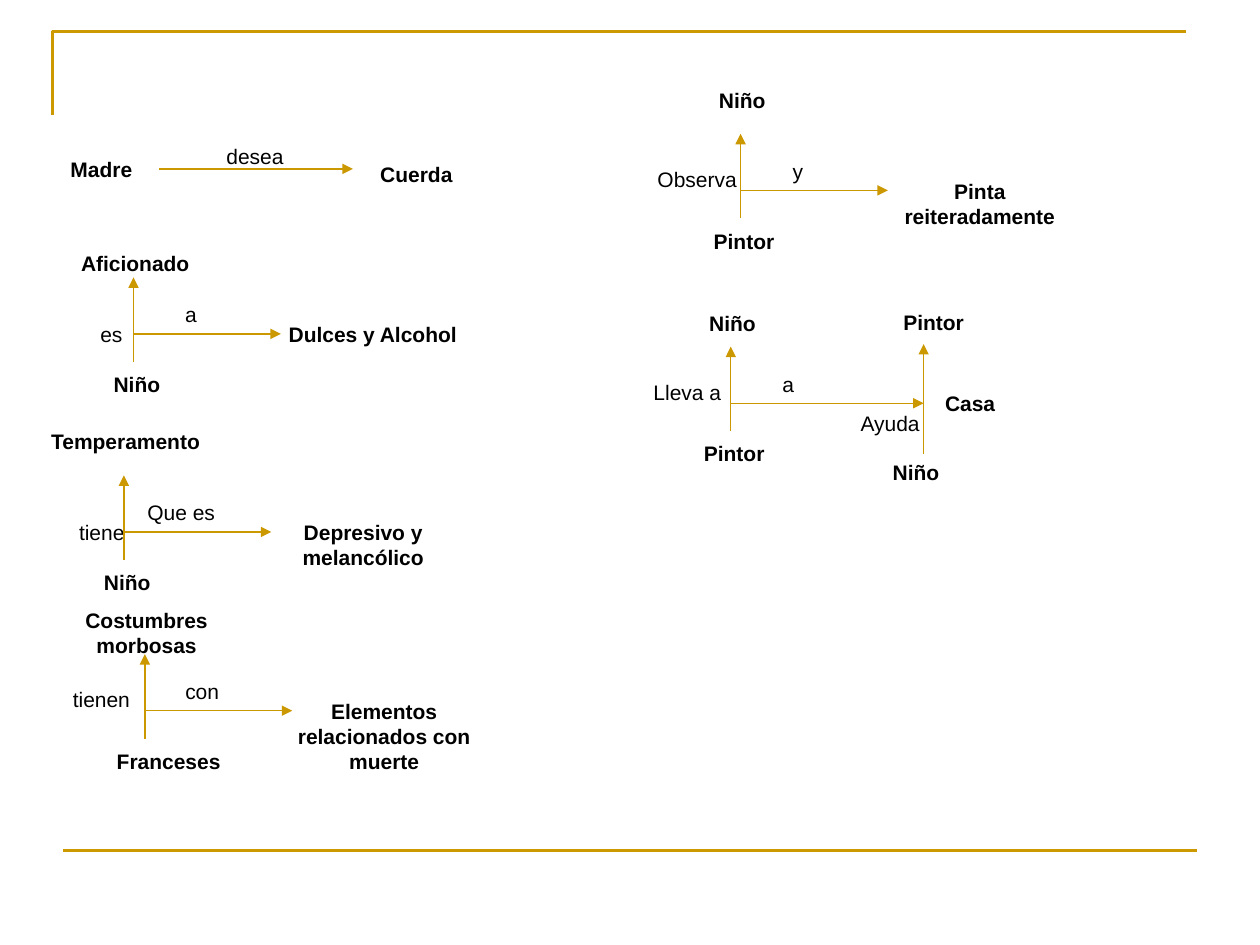
from lxml import etree
from pptx import Presentation
from pptx import util as u
from pptx.dml.color import RGBColor
from pptx.enum import shapes, text
from pptx.oxml.ns import qn

GOLD, AMBER, BLACK = "CC9900", "CC9800", "000000"


def tint(code):
    return RGBColor.from_string(code)


class Sketch:
    font, size, thin, thick = "Arial", 12, 0.75, 1.5

    def __init__(self, slide):
        self.slide = slide

    def label(self, left, top, width, words, bold=True):
        lines = words.split("\n")
        box = self.slide.shapes.add_textbox(
            u.Pt(left), u.Pt(top), u.Pt(width), u.Pt(7.2 + 14.4 * len(lines)))
        frame = box.text_frame
        frame.word_wrap = True
        frame.auto_size = text.MSO_AUTO_SIZE.SHAPE_TO_FIT_TEXT
        for i, line in enumerate(lines):
            para = frame.add_paragraph() if i else frame.paragraphs[0]
            para.alignment = text.PP_ALIGN.CENTER
            run = para.add_run()
            run.text = line
            run.font.name = self.font
            run.font.size = u.Pt(self.size)
            run.font.bold = bold
            run.font.color.rgb = tint(BLACK)
        return box

    def line(self, x1, y1, x2, y2, color, width):
        rule = self.slide.shapes.add_connector(
            shapes.MSO_CONNECTOR.STRAIGHT, u.Pt(x1), u.Pt(y1), u.Pt(x2), u.Pt(y2))
        rule.line.color.rgb = tint(color)
        rule.line.width = u.Pt(width)
        etree.SubElement(rule._element.spPr, qn("a:effectLst"))
        return rule

    def arrow(self, x1, y1, x2, y2):
        rule = self.line(x1, y1, x2, y2, AMBER, self.thin)
        etree.SubElement(rule.line._get_or_add_ln(), qn("a:tailEnd"), type="triangle")
        return rule

    def corner(self, points):
        (x, y), *rest = [(u.Pt(a), u.Pt(b)) for a, b in points]
        pen = self.slide.shapes.build_freeform(x, y, scale=1.0)
        pen.add_line_segments(rest, close=False)
        shape = pen.convert_to_shape()
        shape.shadow.inherit = False
        shape.fill.background()
        shape.line.color.rgb = tint(GOLD)
        shape.line.width = u.Pt(self.thick)

    def cross(self, x, y, actor, verb, goal, link, thing,
              reach=84.2, rise=62.5, wide=141, base=72.5, shift=(57.6, 17.3)):
        self.label(x - 34.3, y + 18, base, actor)
        self.label(x - shift[0], y - shift[1], 65.5, verb, False)
        self.label(x + 68, y - 10.5, 137.5, thing)
        self.arrow(x, y, x + reach, y)
        self.label(x, y - 21.8, 65.5, link, False)
        self.arrow(x, y + 16, x, y - 32.3)
        self.label(x + 1 - wide / 2, y - rise, wide, goal)


def main():
    deck = Presentation()
    deck.slide_width, deck.slide_height = u.Pt(720), u.Pt(540)
    art = Sketch(deck.slides.add_slide(deck.slide_layouts[6]))

    art.corner([(30, 66), (30, 18), (678, 18)])
    art.line(36, 486, 684, 486, GOLD, art.thick)

    mother = art.label(25.2, 85.7, 65.5, "Madre")
    art.label(201.6, 88.6, 72.7, "Cuerda")
    wish = art.arrow(91, 96.5, 201.6, 96.5)
    wish.begin_connect(mother, 3)
    art.label(113, 78.5, 65.5, "desea", False)

    near = (45.4, 10.5)
    art.cross(76.3, 190.8, "Niño", "es", "Aficionado", "a", "Dulces y Alcohol",
              rise=51, wide=102.2, shift=near)
    art.cross(70.8, 304, "Niño", "tiene", "Temperamento", "Que es",
              "Depresivo y\nmelancólico", wide=102.2, shift=near)
    art.cross(82.8, 406.1, "Franceses", "tienen", "Costumbres\nmorbosas", "con",
              "Elementos\nrelacionados con\nmuerte", base=95.8)
    art.cross(423.2, 108.8, "Pintor", "Observa", "Niño", "y", "Pinta\nreiteradamente")
    art.cross(417.6, 230.4, "Pintor", "Lleva a", "Niño", "a", "Casa",
              reach=110.2, rise=56.2)

    art.arrow(527.8, 259.2, 527.8, 196.6)
    art.label(460.8, 259.2, 125.3, "Niño")
    art.label(475.9, 231.1, 65.5, "Ayuda", False)
    art.label(497.5, 173.5, 72, "Pintor")

    deck.save("out.pptx")


if __name__ == "__main__":
    main()
